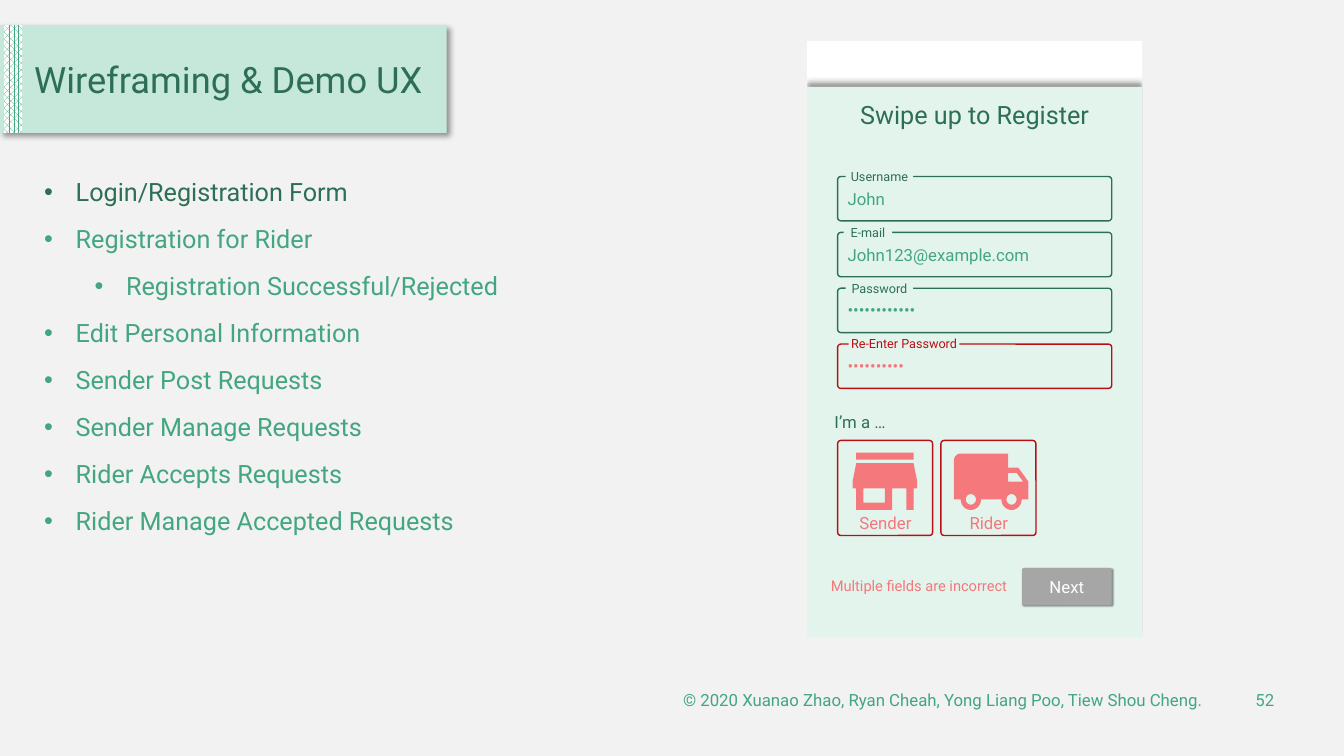
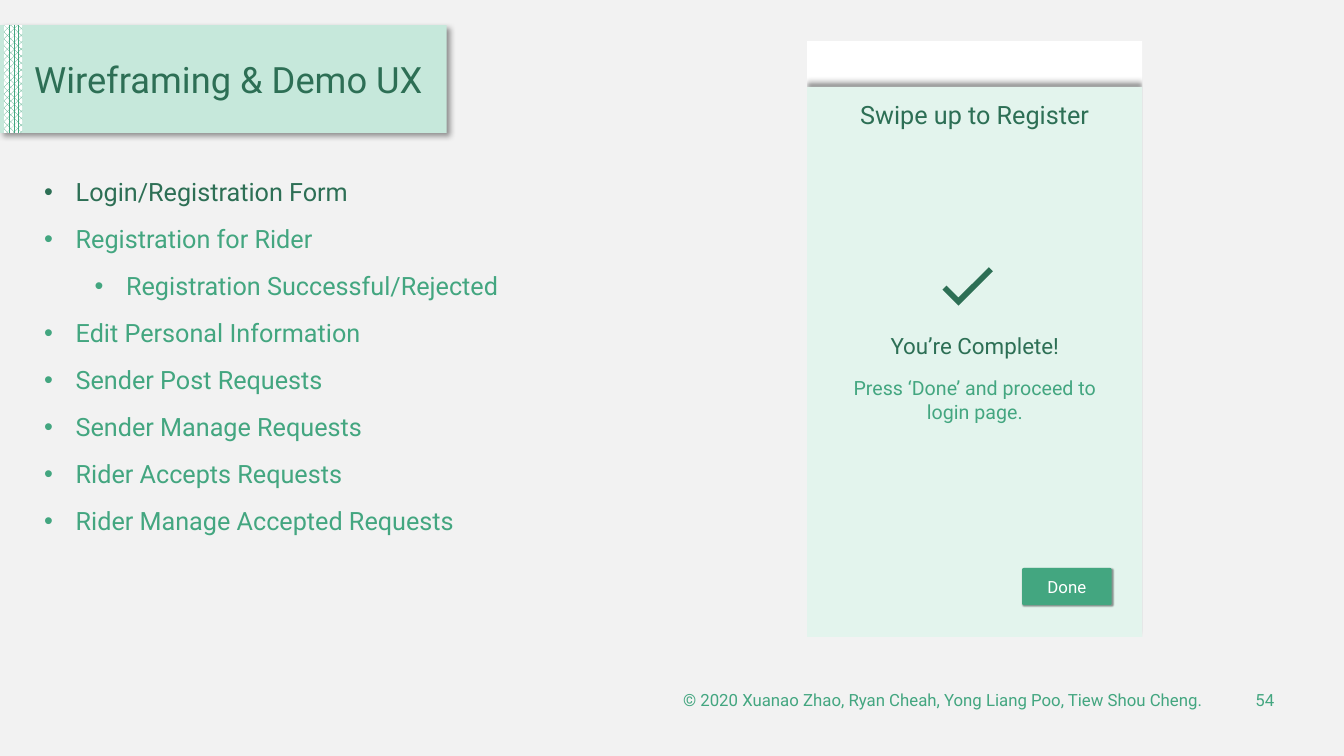
from dataclasses import dataclass
from math import cos, radians, sin

from lxml import etree
from pptx import Presentation
from pptx.dml.color import RGBColor
from pptx.enum.dml import MSO_PATTERN
from pptx.enum.shapes import MSO_SHAPE
from pptx.enum.text import MSO_ANCHOR, PP_ALIGN
from pptx.oxml.ns import qn
from pptx.util import Pt

RECTANGLE, ROUNDED = MSO_SHAPE.RECTANGLE, MSO_SHAPE.ROUNDED_RECTANGLE
LEFT, CENTER, RIGHT = PP_ALIGN.LEFT, PP_ALIGN.CENTER, PP_ALIGN.RIGHT
TOP, MIDDLE = MSO_ANCHOR.TOP, MSO_ANCHOR.MIDDLE
DOTTED = MSO_PATTERN.PERCENT_70

FONT = "Roboto"
BACKGROUND, WHITE, GRAY = "F2F2F2", "FFFFFF", "A6A6A6"
DARK, GREEN, MINT, PALE = "2D6F55", "43A680", "C6E8DB", "E3F4ED"
RED, PINK = "B90F14", "F4787C"

SLIDE_WIDTH, SLIDE_HEIGHT = 960, 540
PHONE_LEFT, PHONE_TOP, PHONE_WIDTH, PHONE_BOTTOM = 576.4, 29.4, 239.6, 455.2
PHONE_RIGHT = PHONE_LEFT + PHONE_WIDTH
FIELD_LEFT, FIELD_TOP, FIELD_PITCH = 598.3, 126.1, 39.9
FIELD_WIDTH, FIELD_HEIGHT = 195.8, 31.7
ROLE_TOP, ROLE_SIZE, ROLE_PITCH = 314.6, 67.9, 73.8

TITLE = "Wireframing & Demo UX"
COPYRIGHT = "© 2020 Xuanao Zhao, Ryan Cheah, Yong Liang Poo, Tiew Shou Cheng."
TOPICS = (
    ("Login/Registration Form", 0),
    ("Registration for Rider", 0),
    ("Registration Successful/Rejected", 1),
    ("Edit Personal Information", 0),
    ("Sender Post Requests", 0),
    ("Sender Manage Requests", 0),
    ("Rider Accepts Requests", 0),
    ("Rider Manage Accepted Requests", 0),
)


@dataclass(frozen=True)
class Box:
    left: float
    top: float
    width: float
    height: float


@dataclass(frozen=True)
class Shadow:
    blur: float
    distance: float
    angle: int


@dataclass(frozen=True)
class Field:
    label: str
    value: str
    label_left: float
    label_width: float
    line: str = DARK
    value_color: str = GREEN


@dataclass(frozen=True)
class Icon:
    """Closed outlines on a 24-unit grid, with the points per unit each way."""
    outlines: tuple
    scale_x: float
    scale_y: float


@dataclass(frozen=True)
class Role:
    name: str
    icon: Icon
    icon_x: float
    icon_y: float


def arc(x: float, y: float, radius: float, start: int, end: int) -> list:
    """Points on an arc; angles run clockwise from the right."""
    steps = 24
    angles = [radians(start + (end - start) * i / steps) for i in range(steps + 1)]
    return [(x + radius * cos(a), y + radius * sin(a)) for a in angles]


SHOP = Icon((
    [(20, 4), (4, 4), (4, 6), (20, 6)],
    [(21, 14), (21, 12), (20, 7), (4, 7), (3, 12), (3, 14), (4, 14), (4, 20),
     (14, 20), (14, 14), (18, 14), (18, 20), (20, 20), (20, 14)],
    [(12, 18), (6, 18), (6, 14), (12, 14)],
), 2.56, 2.56)
TRUCK = Icon((
    [(20, 8), (17, 8), (17, 4), *arc(3, 6, 2, 270, 180), (1, 17),
     *arc(6, 17, 3, 180, 0), *arc(18, 17, 3, 180, 0), (23, 17), (23, 12)],
    arc(6, 17, 1.5, 360, 0),
    [(19.5, 9.5), (21.46, 12), (17, 12), (17, 9.5)],
    arc(18, 17, 1.5, 360, 0),
), 2.42, 2.52)
CHECK = Icon((
    [(9, 16.17), (4.83, 12), (3.41, 13.41), (9, 19), (21, 7), (19.59, 5.59)],
), 2.05, 2.05)

FIELDS = (
    Field("Username", "John", 604.1, 48.2),
    Field("E-mail", "John123@example.com", 602.6, 34.6),
    Field("Password", "••••••••••••", 604.1, 48.2),
    Field("Re-Enter Password", "••••••••••", 606.2, 79.2, RED, PINK),
)
ROLES = (Role("Sender", SHOP, 3.1, -1.6), Role("Rider", TRUCK, 6.9, -0.7))


def color(value: str) -> RGBColor:
    return RGBColor.from_string(value)


def style_text(paragraph, size: float, text_color: str, align=LEFT) -> None:
    paragraph.alignment = align
    paragraph.font.name = FONT
    paragraph.font.size = Pt(size)
    paragraph.font.color.rgb = color(text_color)


def add_shadow(shape, shadow: Shadow) -> None:
    effects = shape._element.spPr.find(qn("a:effectLst"))
    outer = etree.SubElement(
        effects, qn("a:outerShdw"), blurRad=str(Pt(shadow.blur)),
        dist=str(Pt(shadow.distance)), dir=str(shadow.angle * 60000),
        algn="ctr", rotWithShape="0")
    black = etree.SubElement(outer, qn("a:srgbClr"), val="000000")
    etree.SubElement(black, qn("a:alpha"), val="40000")


def add_panel(slide, box: Box, fill: str | None = None, line: str | None = None,
              corner: float = 0, shadow: Shadow | None = None):
    shape = slide.shapes.add_shape(
        ROUNDED if corner else RECTANGLE,
        Pt(box.left), Pt(box.top), Pt(box.width), Pt(box.height))
    if corner:
        shape.adjustments[0] = corner
    if fill:
        shape.fill.solid()
        shape.fill.fore_color.rgb = color(fill)
    else:
        shape.fill.background()
    if line:
        shape.line.color.rgb = color(line)
        shape.line.width = Pt(1)
    else:
        shape.line.fill.background()
    shape.shadow.inherit = False
    if shadow:
        add_shadow(shape, shadow)
    return shape


def add_text(slide, box: Box, text: str, size: float, text_color: str,
             align=LEFT, anchor=TOP):
    """Add a one-paragraph text box and return its paragraph."""
    frame = slide.shapes.add_textbox(
        Pt(box.left), Pt(box.top), Pt(box.width), Pt(box.height)).text_frame
    frame.word_wrap = True
    frame.vertical_anchor = anchor
    paragraph = frame.paragraphs[0]
    paragraph.text = text
    style_text(paragraph, size, text_color, align)
    return paragraph


def add_icon(slide, icon: Icon, left: float, top: float, fill: str) -> None:
    precision = 100
    outlines = [[(x * precision, y * precision) for x, y in outline]
                for outline in icon.outlines]
    builder = slide.shapes.build_freeform(
        *outlines[0][0],
        scale=(Pt(icon.scale_x) / precision, Pt(icon.scale_y) / precision))
    for index, outline in enumerate(outlines):
        if index:
            builder.move_to(*outline[0])
        builder.add_line_segments(outline[1:], close=True)
    shape = builder.convert_to_shape(Pt(left), Pt(top))
    shape.fill.solid()
    shape.fill.fore_color.rgb = color(fill)
    shape.line.fill.background()
    shape.shadow.inherit = False


def add_banner(slide) -> None:
    add_panel(slide, Box(0, 18, 319, 77), MINT, shadow=Shadow(4, 3, 45))
    strip = add_panel(slide, Box(2.9, 18, 13, 77))
    strip.fill.patterned()
    strip.fill.pattern = DOTTED
    strip.fill.fore_color.rgb = color(GREEN)
    strip.fill.back_color.rgb = color(WHITE)
    title = add_text(slide, Box(17.3, 29.5, 300.2, 58.3), TITLE, 25.9, DARK,
                     anchor=MIDDLE)
    title.line_spacing = 0.9


def add_topics(slide) -> None:
    frame = slide.shapes.add_textbox(Pt(24.5), Pt(122.4), Pt(359.3), Pt(266.4)).text_frame
    frame.word_wrap = True
    for index, (topic, level) in enumerate(TOPICS):
        paragraph = frame.add_paragraph() if index else frame.paragraphs[0]
        paragraph.text = topic
        paragraph.level = level
        properties = paragraph._p.get_or_add_pPr()
        properties.set("marL", str(Pt(22.5 + 36 * level)))
        properties.set("indent", str(Pt(-22.5)))
        etree.SubElement(properties, qn("a:buFont"), typeface="Arial")
        etree.SubElement(properties, qn("a:buChar"), char="•")
        if index:
            paragraph.space_before = Pt(12)
        style_text(paragraph, 18, GREEN if index else DARK)


def add_phone(slide) -> None:
    """Draw the phone screen, with masks that trim the sheet's shadow."""
    height = PHONE_BOTTOM - PHONE_TOP
    add_panel(slide, Box(PHONE_LEFT, PHONE_TOP, PHONE_WIDTH, height), WHITE)
    add_panel(slide, Box(PHONE_LEFT, 62, PHONE_WIDTH, PHONE_BOTTOM - 62), PALE,
              shadow=Shadow(4, 3, 270))
    add_text(slide, Box(PHONE_LEFT, 67.7, PHONE_WIDTH, 29), "Swipe up to Register",
             18, DARK, CENTER)
    for mask in (
        Box(PHONE_LEFT - 59, PHONE_TOP, 59, height),
        Box(PHONE_RIGHT, PHONE_TOP, SLIDE_WIDTH - PHONE_RIGHT, height),
        Box(525, PHONE_BOTTOM, 331, SLIDE_HEIGHT - PHONE_BOTTOM),
    ):
        add_panel(slide, mask, BACKGROUND)


def add_footer(slide, number: int) -> None:
    for left, width, text in ((391.7, 474.5, COPYRIGHT), (874.8, 42.5, str(number))):
        add_text(slide, Box(left, 485.3, width, 28.8), text, 12, GREEN, RIGHT, MIDDLE)


def add_button(slide, label: str, fill: str) -> None:
    button = add_panel(slide, Box(730.1, 405.7, 64, 26.6), fill, corner=0.046,
                       shadow=Shadow(1, 1, 45))
    frame = button.text_frame
    frame.vertical_anchor = MIDDLE
    frame.paragraphs[0].text = label
    style_text(frame.paragraphs[0], 12, WHITE, CENTER)


def add_field(slide, field: Field, top: float) -> None:
    add_panel(slide, Box(FIELD_LEFT, top, FIELD_WIDTH, FIELD_HEIGHT),
              line=field.line, corner=0.075)
    label = add_panel(slide, Box(field.label_left, top - 4.8, field.label_width, 9.4), PALE)
    frame = label.text_frame
    frame.margin_left = frame.margin_right = Pt(3)
    frame.margin_top = frame.margin_bottom = Pt(3)
    frame.word_wrap = False
    frame.vertical_anchor = MIDDLE
    frame.paragraphs[0].text = field.label
    style_text(frame.paragraphs[0], 9, field.line, CENTER)
    add_text(slide, Box(FIELD_LEFT, top + 5, 192, 21.6), field.value, 12, field.value_color)


def add_role(slide, role: Role, left: float) -> None:
    add_panel(slide, Box(left, ROLE_TOP, ROLE_SIZE, ROLE_SIZE), line=RED, corner=0.034)
    add_icon(slide, role.icon, left + role.icon_x, ROLE_TOP + role.icon_y, PINK)
    add_text(slide, Box(left + 7.9, 367.9, 52.6, 10.8), role.name, 12, PINK, CENTER, MIDDLE)


def add_registration_form(slide) -> None:
    for index, field in enumerate(FIELDS):
        add_field(slide, field, FIELD_TOP + index * FIELD_PITCH)
    add_text(slide, Box(589, 290.9, 184.3, 21.6), "I’m a …", 12, DARK)
    for index, role in enumerate(ROLES):
        add_role(slide, role, FIELD_LEFT + index * ROLE_PITCH)
    add_text(slide, Box(583.2, 408.2, 143.3, 20.2), "Multiple fields are incorrect",
             10.5, PINK, RIGHT)
    add_button(slide, "Next", GRAY)


def add_completion(slide) -> None:
    add_icon(slide, CHECK, 666.2, 179.4, DARK)
    add_text(slide, Box(589, 234, 214.6, 26.6), "You’re Complete!", 16, DARK, CENTER)
    add_text(slide, Box(589, 265, 214.6, 41), "Press ‘Done’ and proceed to login page.",
             14, GREEN, CENTER)
    add_button(slide, "Done", GREEN)


def main() -> None:
    presentation = Presentation()
    presentation.slide_width = Pt(SLIDE_WIDTH)
    presentation.slide_height = Pt(SLIDE_HEIGHT)
    for number, add_screen in ((52, add_registration_form), (54, add_completion)):
        slide = presentation.slides.add_slide(presentation.slide_layouts[6])
        slide.background.fill.solid()
        slide.background.fill.fore_color.rgb = color(BACKGROUND)
        add_banner(slide)
        add_phone(slide)
        add_topics(slide)
        add_screen(slide)
        add_footer(slide, number)
    presentation.save("out.pptx")


if __name__ == "__main__":
    main()
